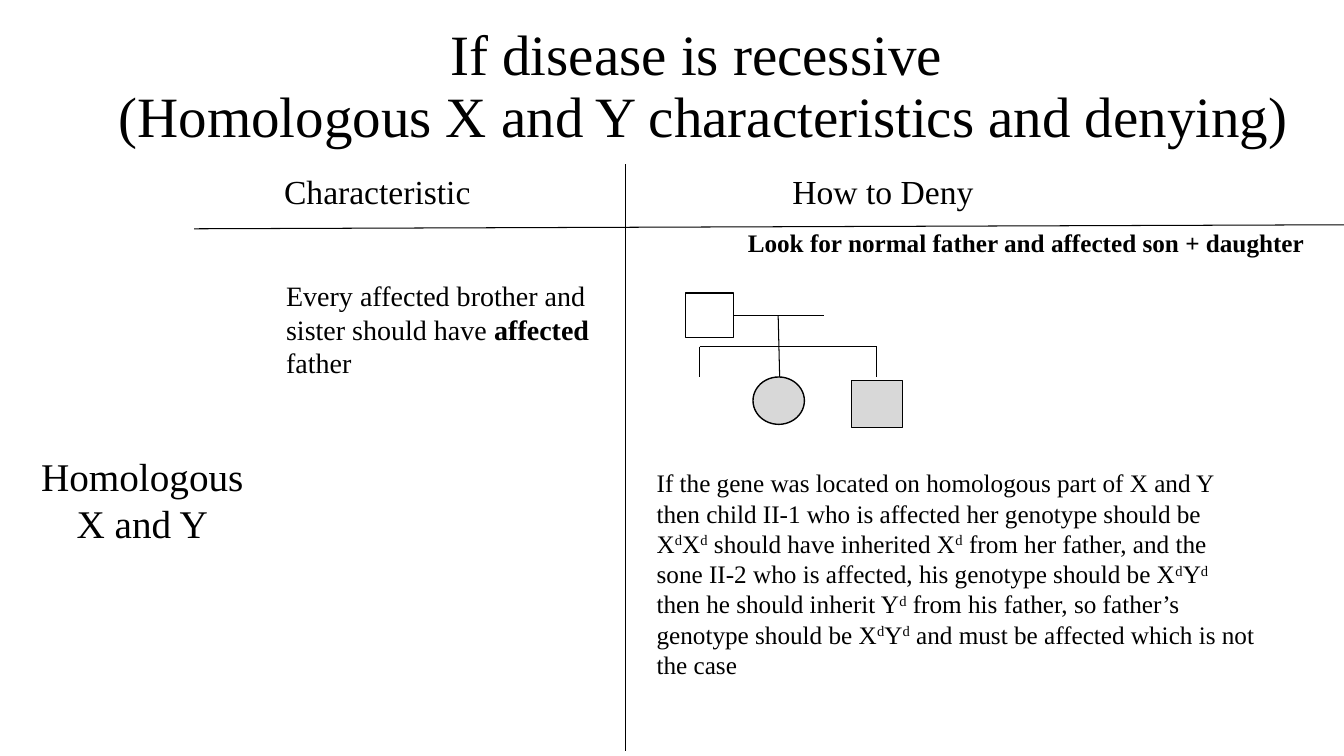
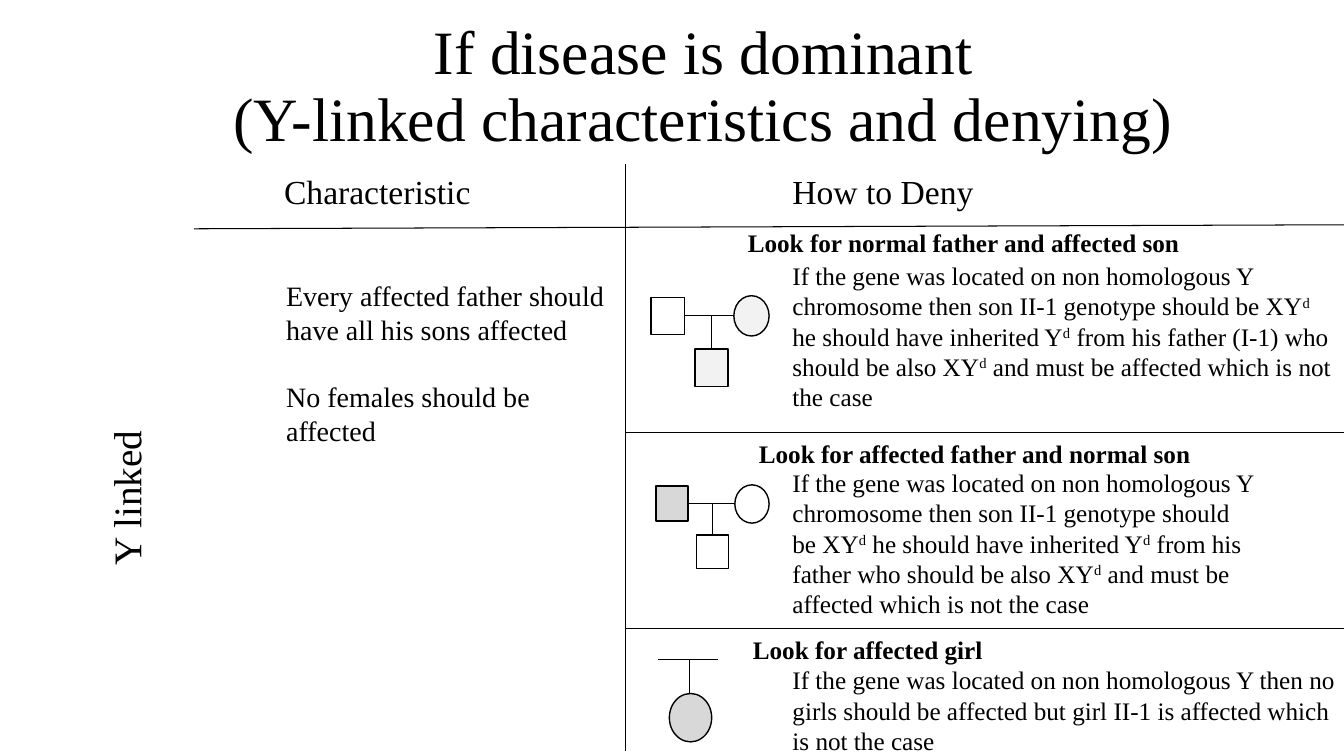
"""Build two slides on denying modes of inheritance from pedigrees."""
from lxml import etree
from pptx import Presentation, util as u
from pptx.dml.color import RGBColor
from pptx.enum import shapes, text
from pptx.oxml import ns

INK = RGBColor(0, 0, 0)
WHITE = RGBColor(255, 255, 255)
PALE = RGBColor(0xF2, 0xF2, 0xF2)
GREY = RGBColor(0xD8, 0xD8, 0xD8)
FACE = "Times New Roman"
TIE = chr(160)
BOX = shapes.MSO_SHAPE.RECTANGLE
OVAL = shapes.MSO_SHAPE.OVAL
EDGE = 133.33
SPLIT = 62.1
NOTE = 77.63


def cell(*vals):
    """Turn grid cells, 133.33 columns by 75 rows, into lengths."""
    return [u.Inches(val / 10) for val in vals]


class Deck:
    """Hold the shared style and the current slide."""

    def __init__(self):
        """Open a wide deck."""
        self.prs = Presentation()
        self.prs.slide_width, self.prs.slide_height = cell(EDGE, 75)

    def page(self, title, size, traits):
        """Start a slide with its title, column heads, rules and traits."""
        layout = self.prs.slide_layouts[1]
        self.slide = self.prs.slides.add_slide(layout)
        head, body = self.slide.placeholders
        self.fill(head, (6.2, 1.5, 127.15, 14.5), title, size, mid=True)
        head.text_frame.vertical_anchor = text.MSO_ANCHOR.MIDDLE
        head.text_frame.paragraphs[0].line_spacing = 0.9
        self.fill(body, (27.38, 27.14, 34.7, 17.8), traits, 20)
        self.label((27.2, 16.5, 27, 5), "Characteristic", 24)
        self.label((NOTE, 16.5, 29.4, 5), "How to Deny", 24)
        self.line((19.25, 22.7, EDGE, 22.3))
        self.line((SPLIT, 16.3, SPLIT, 74.5))

    def fill(self, shape, area, words, size, mid=False, bold=False):
        """Place text; ^ raises a letter, * toggles bold, ~ ties words."""
        shape.left, shape.top, shape.width, shape.height = cell(*area)
        frame = shape.text_frame
        frame.word_wrap = True
        frame.auto_size = text.MSO_AUTO_SIZE.NONE
        frame.text = words.replace("~", TIE)
        for rank, para in enumerate(frame.paragraphs):
            if shape.is_placeholder:
                props = para._p.get_or_add_pPr()
                props.set("marL", "0")
                props.set("indent", "0")
                etree.SubElement(props, ns.qn("a:buNone"))
            para.space_before = u.Pt(24 if rank else 0)
            para.alignment = text.PP_ALIGN.CENTER if mid else text.PP_ALIGN.LEFT
            if "^" in para.text or "*" in para.text:
                self.mark(para)
            for run in para.runs:
                font = run.font
                font.name, font.size = FACE, u.Pt(size)
                font.color.rgb = INK
                font.bold = bold or font.bold

    def mark(self, para):
        """Split a marked paragraph into raised and bold runs."""
        parts = para.text.split("*")
        para.clear()
        for turn, part in enumerate(parts):
            for rank, bit in enumerate(part.split("^")):
                cut = 1 if rank else 0
                for raised, words in ((True, bit[:cut]), (False, bit[cut:])):
                    if words:
                        run = para.add_run()
                        run.text = words
                        run.font.bold = turn % 2 == 1
                        if raised:
                            run._r.get_or_add_rPr().set("baseline", "30000")

    def label(self, area, words, size=18, mid=False, bold=False, turn=0):
        """Add a text box."""
        box = self.slide.shapes.add_textbox(*cell(*area))
        self.fill(box, area, words, size, mid, bold)
        box.rotation = turn

    def line(self, ends, host=None):
        """Add a thin line, on the slide or in a group."""
        kind = shapes.MSO_CONNECTOR.STRAIGHT
        rule = (host or self.slide).shapes.add_connector(kind, *cell(*ends))
        rule.line.color.rgb = INK
        rule.line.width = u.Pt(0.75)
        etree.SubElement(rule._element.spPr, ns.qn("a:effectLst"))

    def tree(self, lines, people):
        """Draw one pedigree as a group of lines and people."""
        group = self.slide.shapes.add_group_shape()
        for ends in lines:
            self.line(ends, group)
        for kind, area, tone in people:
            form = group.shapes.add_shape(kind, *cell(*area))
            form.shadow.inherit = False
            form.fill.solid()
            form.fill.fore_color.rgb = tone
            form.line.color.rgb = INK
            form.line.width = u.Pt(1)

    def pair(self, dad, mum, son, tones):
        """Draw a couple with one son, joined from their places."""
        row = dad[1] + dad[3] / 2
        stem = son[0] + son[2] / 2
        lines = [(dad[0] + dad[2], row, mum[0], row),
                 (stem, row, stem, son[1])]
        self.tree(lines, zip((BOX, OVAL, BOX), (dad, mum, son), tones))


def main():
    """Build and save both slides."""
    deck = Deck()
    deck.page("If disease is recessive \v"
              "(Homologous X and Y characteristics and denying)", 40.7,
              "Every affected brother and sister should have "
              "*affected* father")
    deck.label((2.66, 44.36, 22.9, 10.4), "Homologous X and Y", 28, mid=True)
    deck.label((73.2, 22.06, 58.3, 4),
               "Look for normal father and affected son + daughter", bold=True)
    bar, low = 34.4, 37.45
    deck.tree([(72.7, 31.3, 81.7, 31.3), (77.2, 31.3, 77.35, low),
               (69.4, bar, 87, bar), (69.4, bar, 69.4, low),
               (87, bar, 87, low)],
              [(OVAL, (74.7, 37.4, 5.1, 4.7), GREY),
               (BOX, (68, 29.06, 4.8, 4.4), WHITE),
               (BOX, (84.46, 37.74, 5.1, 4.7), GREY)])
    deck.label((64.16, 45.9, 61.7, 22.2),
               "If the gene was located on homologous part of X and Y then "
               "child II-1 who is affected her genotype should be X^dX^d~"
               "should have inherited X^d from her father, and the sone~II-2 "
               "who is affected, his genotype should be X^dY^d then~he should "
               "inherit Y^d from his father, so father’s genotype should be "
               "X^dY^d and must be affected which is not the case")

    deck.page("If disease is dominant\v"
              "(Y-linked characteristics and denying)", 44,
              "Every affected father should have all his sons affected\n"
              "No females should be affected")
    deck.label((3.3, 45, 18.4, 5.7), "Y linked", 28, turn=270)
    for row in (42.9, 62.34):
        deck.line((SPLIT, row, EDGE, row))
    deck.pair((64.6, 29.5, 3.3, 3.7), (72.8, 29.34, 3.5, 4),
              (68.94, 34.64, 3.3, 3.7), (WHITE, PALE, PALE))
    deck.pair((65.06, 48.2, 3.2, 3.5), (72.9, 48.1, 3.4, 3.8),
              (69.1, 53.1, 3.2, 3.3), (GREY, WHITE, WHITE))
    deck.tree([(65.3, 65.4, 71.2, 65.4), (68.4, 65.4, 68.4, 71.3)],
              [(OVAL, (66.4, 68.8, 4.2, 4.8), GREY)])
    gene = "If the gene was located on non homologous Y "
    son = (gene + "chromosome then son II-1 genotype should be~XY^d he should "
           "have inherited Y^d from his father {}who should be also XY^d and "
           "must be affected which is not the case")
    cases = [
        (73.2, 22.06, "Look for normal father and affected son",
         (25.34, 55.7, 16.2), son.format("(I-1) ")),
        (74.3, 43.04, "Look for affected father and normal son",
         (45.88, 48.4, 16.2), son.format("")),
        (73.7, 62.46, "Look for affected girl", (65.44, 57.2, 9.5),
         gene + "then no girls should be affected but girl II-1 is affected "
         "which is not the case")]
    for left, top, head, (row, wide, tall), words in cases:
        deck.label((left, top, 48.4, 4), head, bold=True)
        deck.label((NOTE, row, wide, tall), words)
    deck.prs.save("out.pptx")


if __name__ == "__main__":
    main()
